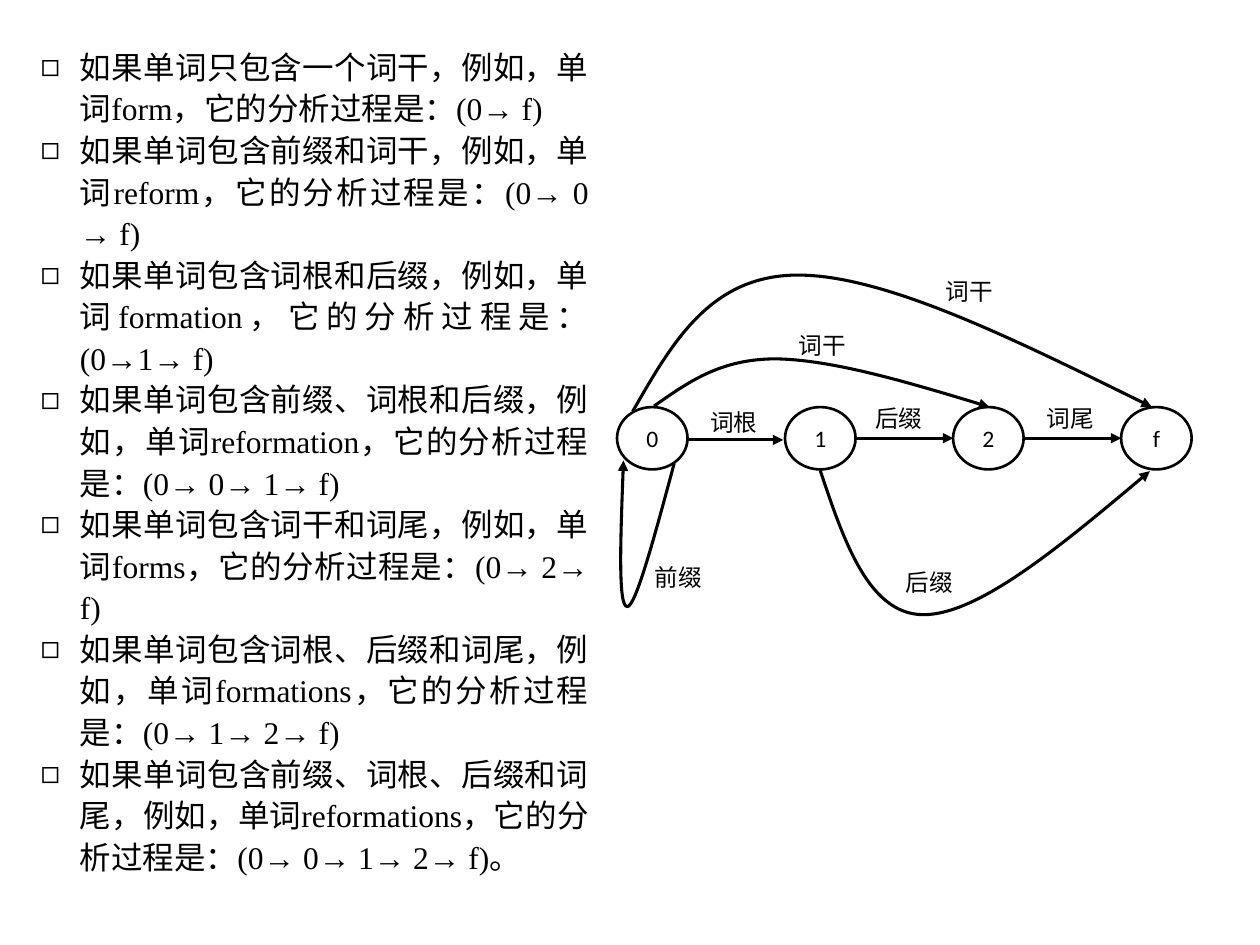
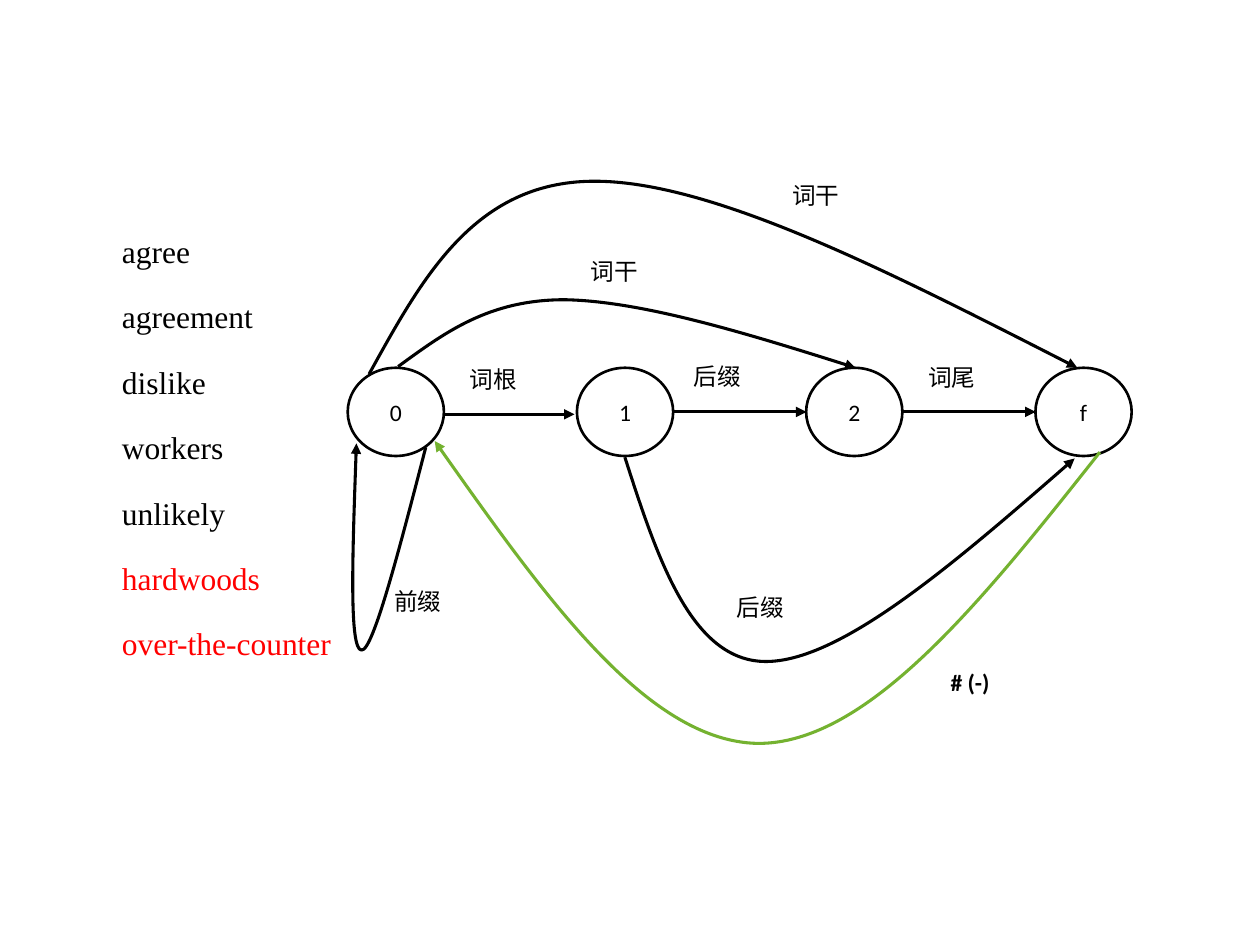
import pptx
import pptx.util
import pptx.dml.color
import pptx.enum.shapes
import pptx.enum.text
import pptx.oxml.ns
from lxml import etree

Pt = pptx.util.Pt
qn = pptx.oxml.ns.qn
Align = pptx.enum.text.PP_ALIGN
Anchor = pptx.enum.text.MSO_ANCHOR
Kind = pptx.enum.shapes

HUES = {"ink": "000000", "red": "FF0000", "green": "74B230"}
MARK = dict(name="Calibri", size=Pt(13.5))
PROSE = dict(name="Times New Roman", size=Pt(18))

RULES = [
    "如果单词只包含一个词干，例如，单词form，它的分析过程是：(0→ f)",
    "如果单词包含前缀和词干，例如，单词reform，它的分析过程是：(0→ 0 → f)",
    "如果单词包含词根和后缀，例如，单词formation，它的分析过程是：(0→1→ f)",
    "如果单词包含前缀、词根和后缀，例如，单词reformation，它的分析过程是：(0→ 0→ 1→ f)",
    "如果单词包含词干和词尾，例如，单词forms，它的分析过程是：(0→ 2→ f)",
    "如果单词包含词根、后缀和词尾，例如，单词formations，它的分析过程是：(0→ 1→ 2→ f)",
    "如果单词包含前缀、词根、后缀和词尾，例如，单词reformations，它的分析过程是：(0→ 0→ 1→ 2→ f)。",
]
WORDS = [
    ("agree", "ink"), ("agreement", "ink"), ("dislike", "ink"),
    ("workers", "ink"), ("unlikely", "ink"),
    ("hardwoods", "red"), ("over-the-counter", "red"),
]

STATES = "012f"
NODE_W, NODE_H, STEP = 55, 50.4, 131
ARROWS = [(54.7, 129.6, 26.6), (186.5, 262.1, 25.2), (317.5, 393.1, 25.2)]
CURVES = [
    [(44.6, 45.4), (29.5, 103.7), (14.4, 162), (7.9, 161.3),
     (0.7, 161.3), (2.9, 102.2), (5, 43.2)],
    [(158.4, 51.1), (177.1, 109.4), (196.6, 167.8), (239, 167.8),
     (281.5, 167.8), (348.5, 110.2), (415.4, 51.8)],
    [(28.8, -0.7), (54.7, -19.4), (79.9, -38.9), (123.8, -38.9),
     (167, -38.2), (229, -19.4), (290.2, 0)],
    [(12.2, 3.6), (42.5, -51.1), (72, -105.8), (139.7, -106.6),
     (207.4, -107.3), (312.5, -53.3), (416.9, 0)],
]
RETURN = [(429.8, 48.2), (363.6, 131.8), (297.4, 215.3), (234, 214.6),
          (170.6, 213.1), (110.2, 127.4), (49.7, 41.8)]
LABELS = ["词根", "后缀", "词尾", "前缀", "后缀", "词干", "词干"]

SMALL = dict(
    left=352.6, top=232.6, wide=0.733, high=0.707,
    spots=[(398.9, 229.7), (493.2, 227.5), (591.1, 227.5), (367.2, 318.2),
           (510.5, 321.1), (449.3, 185.8), (533.5, 154.8)])
LARGE = dict(
    left=198.7, top=210.2, wide=1, high=1,
    spots=[(261.4, 205.2), (389.5, 203), (523.4, 203.8), (218.2, 331.9),
           (414, 335.5), (330.5, 143.3), (445.7, 100.1)])


def apply(item, **values):
    for key, value in values.items():
        setattr(item, key, value)


def tint(name):
    return pptx.dml.color.RGBColor.from_string(HUES[name])


def write(para, text, style, hue="ink", **more):
    run = para.add_run()
    run.text = text
    apply(run.font, **style, **more)
    run.font.color.rgb = tint(hue)


def label(slide, text, spot, size, style, hue="ink", wrap=True,
          align=Align.LEFT, **more):
    box = slide.shapes.add_textbox(*map(Pt, spot + size))
    box.text_frame.word_wrap = wrap
    para = box.text_frame.paragraphs[0]
    para.alignment = align
    write(para, text, style, hue, **more)


def point(shape, hue="ink"):
    shape.line.width = Pt(1.75)
    shape.line.color.rgb = tint(hue)
    props = shape._element.spPr
    etree.SubElement(props.find(qn("a:ln")), qn("a:tailEnd"), type="triangle")
    etree.SubElement(props, qn("a:effectLst"))


def place(view, x, y):
    return (Pt(view["left"] + x * view["wide"]),
            Pt(view["top"] + y * view["high"]))


def curve(slide, view, dots, hue="ink"):
    spots = [place(view, *dot) for dot in dots]
    pen = slide.shapes.build_freeform(*spots[0])
    pen.add_line_segments(spots[1:], close=False)
    shape = pen.convert_to_shape()
    track = shape._element.find(".//" + qn("a:path"))
    lines = track.findall(qn("a:lnTo"))
    for start in range(0, len(lines), 3):
        bend = etree.SubElement(track, qn("a:cubicBezTo"))
        for line in lines[start:start + 3]:
            bend.append(line[0])
            track.remove(line)
    shape.fill.background()
    point(shape, hue)


def graph(slide, view):
    size = Pt(NODE_W * view["wide"]), Pt(NODE_H * view["high"])
    for i, state in enumerate(STATES):
        node = slide.shapes.add_shape(
            Kind.MSO_SHAPE.OVAL, *place(view, i * STEP, 0), *size)
        node.shadow.inherit = False
        node.fill.background()
        node.line.width = Pt(1.5)
        node.line.color.rgb = tint("ink")
        frame = node.text_frame
        apply(frame, margin_left=0, margin_right=0, margin_top=0,
              margin_bottom=0, vertical_anchor=Anchor.MIDDLE)
        para = frame.paragraphs[0]
        para.alignment = Align.CENTER
        write(para, state, MARK)
    for start, end, y in ARROWS:
        point(slide.shapes.add_connector(
            Kind.MSO_CONNECTOR.STRAIGHT,
            *place(view, start, y), *place(view, end, y)))
    for dots in CURVES:
        curve(slide, view, dots)
    for text, spot in zip(LABELS, view["spots"]):
        label(slide, text, spot, (56, 24), MARK)


def rules(slide):
    title = slide.shapes.title
    title._element.getparent().remove(title._element)
    body = slide.placeholders[1]
    apply(body, left=Pt(16), top=Pt(21.6), width=Pt(327.6), height=Pt(487.4))
    frame = body.text_frame
    apply(frame, word_wrap=True, vertical_anchor=Anchor.TOP,
          auto_size=pptx.enum.text.MSO_AUTO_SIZE.NONE)
    for i, text in enumerate(RULES):
        para = frame.add_paragraph() if i else frame.paragraphs[0]
        props = para._p.get_or_add_pPr()
        props.set("marL", str(Pt(22.5)))
        props.set("indent", str(Pt(-22.5)))
        etree.SubElement(props, qn("a:buChar"), char="◻")
        tabs = etree.SubElement(props, qn("a:tabLst"))
        etree.SubElement(tabs, qn("a:tab"), pos=str(Pt(36.7)), algn="l")
        apply(para, alignment=Align.JUSTIFY, line_spacing=1.1,
              space_before=Pt(0), space_after=Pt(0))
        write(para, text, PROSE)


def main():
    deck = pptx.Presentation()
    apply(deck, slide_width=Pt(720), slide_height=Pt(540))
    first = deck.slides.add_slide(deck.slide_layouts[1])
    graph(first, SMALL)
    rules(first)

    second = deck.slides.add_slide(deck.slide_layouts[6])
    graph(second, LARGE)
    curve(second, LARGE, RETURN, "green")
    label(second, "# (-)", (526.3, 378), (56, 24), MARK,
          align=Align.CENTER, bold=True)
    for i, (word, hue) in enumerate(WORDS):
        label(second, word, (62.6, 128.9 + 37.4 * i), (135, 29), PROSE, hue,
              wrap=False)
    deck.save("out.pptx")


if __name__ == "__main__":
    main()
